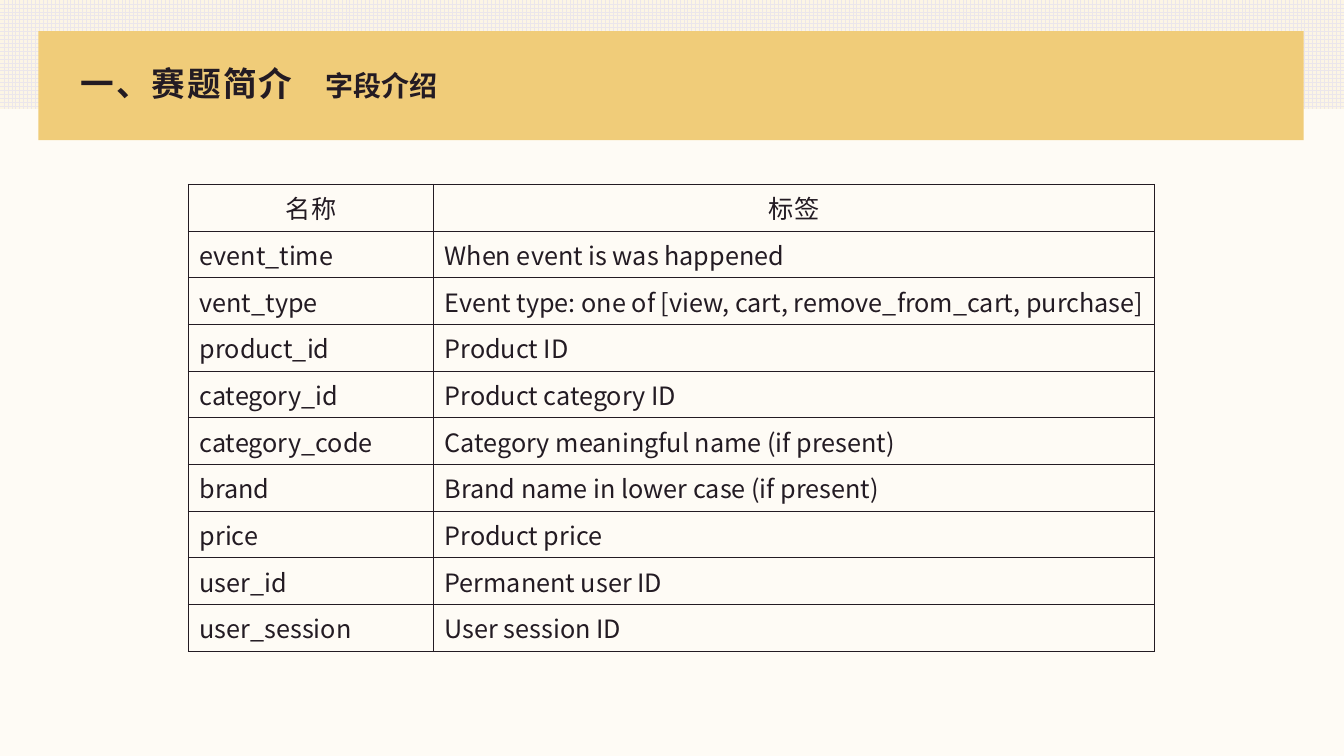
from dataclasses import dataclass
from typing import Any, Optional

from lxml import etree
from pptx import Presentation
from pptx import util as u
from pptx.dml import color
from pptx.enum import dml, shapes, text
from pptx.oxml import ns


@dataclass(frozen=True)
class Theme:
    ink: str = "231B23"
    page: str = "FEFBF5"
    gold: str = "F0CC79"
    grid_line: str = "EBE6EB"
    grid_back: str = "FCF5E5"
    heading_font: str = "Noto Sans CJK SC"
    table_font: str = "Noto Sans CJK JP"
    title_size: int = 24
    subtitle_size: int = 20
    table_size: int = 18
    border_width: int = 1


@dataclass(frozen=True)
class Box:
    left: float
    top: float
    width: float
    height: float

    def inches(self) -> list[int]:
        return [u.Inches(n) for n in (self.left, self.top, self.width, self.height)]


@dataclass(frozen=True)
class Band:
    box: Box
    fill: str
    grid_line: Optional[str] = None


@dataclass(frozen=True)
class Heading:
    words: str
    box: Box
    size: int
    anchor: Any
    line_spacing: float = 1.0
    letter_spacing: float = 0


THEME = Theme()

BANDS = [
    Band(Box(0, 0, 13.33, 1.08), THEME.grid_back, THEME.grid_line),
    Band(Box(0.38, 0.31, 12.55, 1.08), THEME.gold),
]

HEADINGS = [
    Heading("一、赛题简介", Box(0.7, 0.53, 2.57, 0.64), THEME.title_size,
            text.MSO_ANCHOR.MIDDLE, 0.9, 1.5),
    Heading("字段介绍", Box(3.13, 0.63, 2.77, 0.44), THEME.subtitle_size,
            text.MSO_ANCHOR.TOP),
]

FIELDS = [
    ("名称", "标签"),
    ("event_time", "When event is was happened"),
    ("vent_type", "Event type: one of [view, cart, remove_from_cart, purchase]"),
    ("product_id", "Product ID"),
    ("category_id", "Product category ID"),
    ("category_code", "Category meaningful name (if present)"),
    ("brand", "Brand name in lower case (if present)"),
    ("price", "Product price"),
    ("user_id", "Permanent user ID"),
    ("user_session", "User session ID"),
]
COLUMN_WIDTHS = (2.43, 7.15)
TABLE_BOX = Box(1.87, 1.83, sum(COLUMN_WIDTHS), 4.63)
ROW_HEIGHT = TABLE_BOX.height / len(FIELDS)
# The narrow right margin keeps the longest description on one line
CELL_FORMAT = {
    "vertical_anchor": text.MSO_ANCHOR.MIDDLE,
    "margin_left": u.Inches(0.11),
    "margin_right": u.Inches(0.05),
    "margin_top": u.Inches(0.05),
    "margin_bottom": u.Inches(0.05),
}
HEADER_FORMAT = CELL_FORMAT | {"margin_right": u.Inches(0.11)}


def rgb(value: str) -> color.RGBColor:
    return color.RGBColor.from_string(value)


def apply_format(target: Any, values: dict[str, Any]) -> None:
    for name, value in values.items():
        setattr(target, name, value)


def write(paragraph: Any, words: str, font_name: str, size: int,
          bold: bool = False, letter_spacing: float = 0) -> None:
    run = paragraph.add_run()
    run.text = words
    apply_format(run.font, {"name": font_name, "size": u.Pt(size), "bold": bold})
    run.font.color.rgb = rgb(THEME.ink)
    properties = run.font._element
    etree.SubElement(properties, ns.qn("a:ea"), typeface=font_name)
    if letter_spacing:
        properties.set("spc", str(round(letter_spacing * 100)))


def draw_band(slide: Any, band: Band) -> None:
    shape = slide.shapes.add_shape(shapes.MSO_SHAPE.RECTANGLE, *band.box.inches())
    shape.shadow.inherit = False
    shape.line.fill.background()
    if band.grid_line:
        shape.fill.patterned()
        shape.fill.pattern = dml.MSO_PATTERN.LARGE_GRID
        shape.fill.fore_color.rgb = rgb(band.grid_line)
        shape.fill.back_color.rgb = rgb(band.fill)
    else:
        shape.fill.solid()
        shape.fill.fore_color.rgb = rgb(band.fill)


def draw_heading(slide: Any, heading: Heading) -> None:
    frame = slide.shapes.add_textbox(*heading.box.inches()).text_frame
    apply_format(frame, {"word_wrap": True, "vertical_anchor": heading.anchor})
    paragraph = frame.paragraphs[0]
    paragraph.line_spacing = heading.line_spacing
    write(paragraph, heading.words, THEME.heading_font, heading.size,
          True, heading.letter_spacing)


def draw_borders(cell: Any) -> None:
    properties = cell._tc.get_or_add_tcPr()
    for position, side in enumerate(("lnL", "lnR", "lnT", "lnB")):
        line = etree.Element(ns.qn(f"a:{side}"), w=str(u.Pt(THEME.border_width)))
        fill = etree.SubElement(line, ns.qn("a:solidFill"))
        etree.SubElement(fill, ns.qn("a:srgbClr"), val=THEME.ink)
        properties.insert(position, line)


def draw_table(slide: Any) -> None:
    table = slide.shapes.add_table(len(FIELDS), len(COLUMN_WIDTHS),
                                   *TABLE_BOX.inches()).table
    apply_format(table, {"first_row": False, "horz_banding": False})
    for column, width in zip(table.columns, COLUMN_WIDTHS):
        column.width = u.Inches(width)
    for row_index, field in enumerate(FIELDS):
        is_header = row_index == 0
        table.rows[row_index].height = u.Inches(ROW_HEIGHT)
        for column_index, words in enumerate(field):
            cell = table.cell(row_index, column_index)
            apply_format(cell, HEADER_FORMAT if is_header else CELL_FORMAT)
            cell.fill.background()
            draw_borders(cell)
            paragraph = cell.text_frame.paragraphs[0]
            if is_header:
                paragraph.alignment = text.PP_ALIGN.CENTER
            write(paragraph, words, THEME.table_font, THEME.table_size)


def main() -> None:
    presentation = Presentation()
    apply_format(presentation, {"slide_width": u.Inches(13.33),
                                "slide_height": u.Inches(7.5)})
    slide = presentation.slides.add_slide(presentation.slide_layouts[6])

    # Page colour
    slide.background.fill.solid()
    slide.background.fill.fore_color.rgb = rgb(THEME.page)

    # Header bands and headings
    for band in BANDS:
        draw_band(slide, band)
    for heading in HEADINGS:
        draw_heading(slide, heading)

    # Field descriptions
    draw_table(slide)

    presentation.save("out.pptx")


if __name__ == "__main__":
    main()
